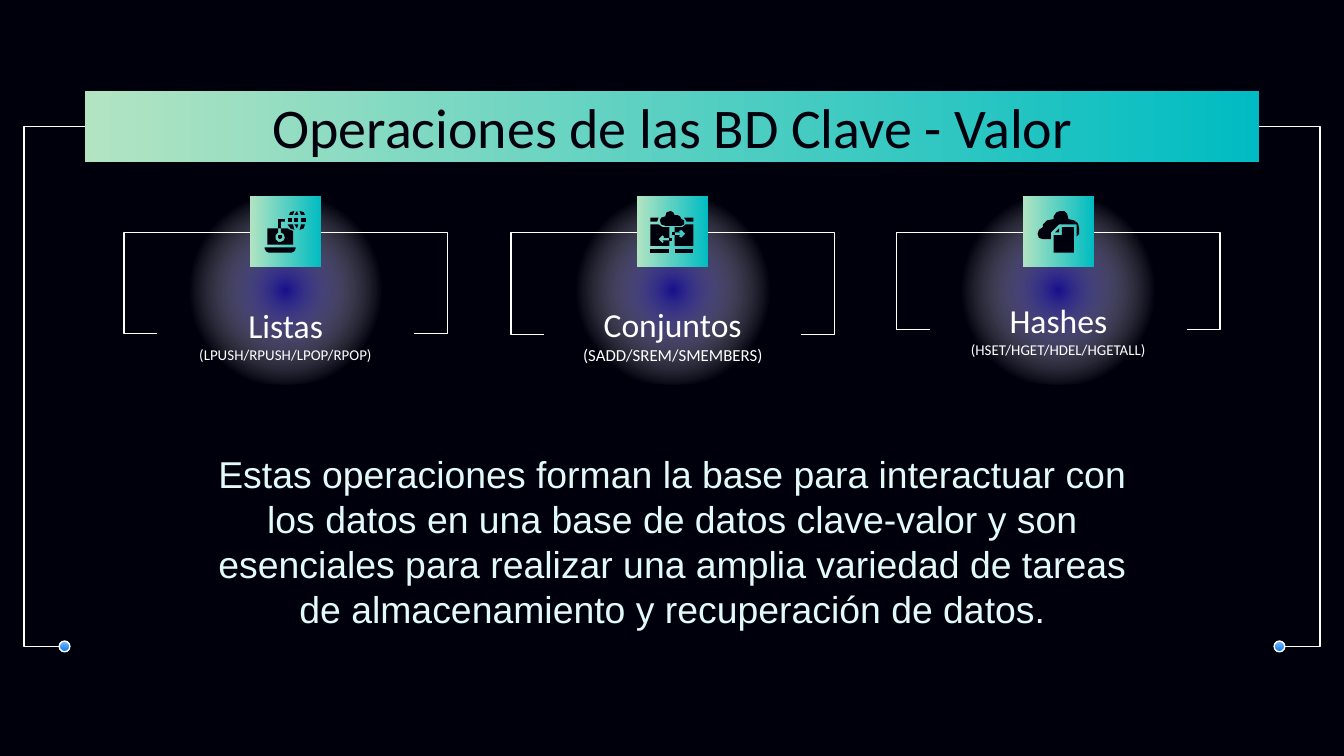
"""Build a slide on the operations of key-value databases."""
from pptx import Presentation
from pptx.dml.color import RGBColor
from pptx.enum import shapes, text
from pptx.oxml import parse_xml
from pptx.oxml.ns import nsdecls, qn
from pptx.util import Inches, Pt

NIGHT = RGBColor(0x00, 0x00, 0x0D)
WHITE = RGBColor(0xFF, 0xFF, 0xFF)
ICE = RGBColor(0xE2, 0xFB, 0xF8)
TEAL = RGBColor(0x00, 0xBC, 0xC2)
MINT = RGBColor(0xB2, 0xE4, 0xC2)
INDIGO = RGBColor(0x17, 0x0F, 0x8D)
SKY = RGBColor(0x82, 0xBC, 0xFE)
BLUE = RGBColor(0x0C, 0x77, 0xF1)

ACROSS = '<a:lin ang="10800000" scaled="0"/>'
DOWN = '<a:lin ang="5400000" scaled="0"/>'
RADIAL = '<a:path path="circle"><a:fillToRect l="50000" t="50000" r="50000" b="50000"/></a:path>'
BRAND = [(0, TEAL, 100), (100, MINT, 100)]
GLOW = [(0, INDIGO, 100), (61, WHITE, 0), (100, WHITE, 0)]
DOT = [(0, SKY, 100), (100, BLUE, 100)]

LAPTOP = [
    [(13, 24), (13, 36), (32, 36), (32, 26), (28, 24), (23, 24), (23, 27), (25, 28), (26, 31),
     (25, 33), (23, 34), (21, 34), (19, 32), (19, 29), (21, 27), (21, 24)],
    [(21, 29), (21, 31), (22, 32), (24, 31), (24, 29), (22, 29)],
    [(21, 17), (21, 24), (23, 24), (23, 19), (26, 19), (26, 17)],
    [(11, 38), (11, 39), (12, 41), (14, 42), (31, 42), (33, 41), (34, 39), (34, 38)],
    [(35, 11), (33, 14), (36, 14)],
    [(37, 11), (38, 14), (41, 14), (39.5, 12)],
    [(38, 21), (37, 25), (39.5, 23.5), (41, 21)],
    [(28, 16), (28, 19), (31, 19), (31, 16)],
    [(33, 11), (30.5, 12), (29, 14), (32, 14)],
    [(28, 21), (30, 23.5), (33, 25), (32, 21)],
    [(38, 16), (38, 19), (42, 19), (42, 16)],
    [(33, 16), (33, 19), (36.5, 19), (36.5, 16)],
    [(33, 21), (35, 24), (36, 21)],
]
SERVERS = [
    [(36, 21), (34, 23), (28, 23), (28, 27), (32, 27), (31, 26), (33, 25), (36, 28), (33, 31),
     (31, 30), (32, 29), (28, 29), (28, 37), (42, 37), (42, 21)],
    [(28, 39), (28, 42), (42, 42), (42, 39)],
    [(35, 16), (37, 19), (42, 19), (42, 16)],
    [(24, 31), (24, 33), (26, 33), (26, 31)],
    [(26, 27), (26, 29), (28, 29), (28, 27)],
    [(10, 39), (10, 42), (24, 42), (24, 39)],
    [(10, 21), (10, 37), (24, 37), (24, 33), (19, 33), (20, 34), (19, 35), (16, 32), (19, 29),
     (20, 30), (20, 31), (24, 31), (24, 23), (19, 23), (16, 21)],
    [(10, 16), (10, 19), (15, 19), (16, 16)],
    [(25, 11), (22, 12), (21, 15), (18, 16), (17, 18), (18, 21), (21, 22), (33, 22), (35, 21),
     (35, 18), (33, 17), (32, 15), (30, 14), (28, 14), (27, 12)],
]
CLOUD_FILE = [
    [(28, 11), (25, 12), (23, 15), (23, 17), (18, 18), (15, 21), (15, 23), (12, 25), (11, 28),
     (12, 31), (15, 32), (21, 32), (21, 27), (27, 21), (40, 21), (40, 30), (42, 28), (42, 24),
     (41, 20), (38, 18), (34, 17), (33, 13), (31, 11)],
    [(27, 24), (24, 27), (27, 27)],
    [(29, 23), (29, 29), (23, 29), (23, 42), (38, 42), (38, 23)],
]
CARDS = [
    (1.17, 0.75, 2.48, "Listas ", "(LPUSH/RPUSH/LPOP/RPOP)", 8, LAPTOP),
    (4.05, 0.76, 2.49, "Conjuntos ", "(SADD/SREM/SMEMBERS)", 9, SERVERS),
    (6.92, 0.68, 2.45, "Hashes ", "(HSET/HGET/HDEL/HGETALL)", 8, CLOUD_FILE),
]

deck = Presentation()
deck.slide_width, deck.slide_height = Inches(10), Inches(10) * 9 // 16
page = deck.slides.add_slide(deck.slide_layouts[5])
page.background.fill.solid()
page.background.fill.fore_color.rgb = NIGHT


def add_gradient_shape(kind, bounds, stops, direction):
    shape = page.shapes.add_shape(kind, *map(Inches, bounds))
    shape.shadow.inherit = False
    shape.line.fill.background()
    shape.fill.gradient()
    marks = "".join(
        f'<a:gs pos="{spot * 1000}"><a:srgbClr val="{color}"><a:alpha val="{alpha * 1000}"/>'
        "</a:srgbClr></a:gs>" for spot, color, alpha in stops)
    properties = shape.element.spPr
    properties.replace(properties.find(qn("a:gradFill")), parse_xml(
        f'<a:gradFill {nsdecls("a")} rotWithShape="1"><a:gsLst>{marks}</a:gsLst>{direction}</a:gradFill>'))
    return shape


def write(box, spans, anchor, inset):
    frame = box.text_frame
    layout = {"word_wrap": True, "auto_size": text.MSO_AUTO_SIZE.NONE, "vertical_anchor": anchor,
              "margin_top": Inches(inset), "margin_bottom": Inches(inset),
              "margin_left": Inches(0.1), "margin_right": Inches(0.1)}
    for name, value in layout.items():
        setattr(frame, name, value)
    para = frame.paragraphs[0]
    para.alignment = text.PP_ALIGN.CENTER
    for words, size, face, color in spans:
        span = para.add_run()
        span.text = words
        for name, value in {"size": Pt(size), "name": face}.items():
            setattr(span.font, name, value)
        span.font.color.rgb = color


RECTANGLE, OVAL = shapes.MSO_SHAPE.RECTANGLE, shapes.MSO_SHAPE.OVAL
TILE_TOP, TILE = 1.46, 0.53
brackets = []
for left, *_ in CARDS:
    add_gradient_shape(OVAL, (left, TILE_TOP, 1.91, 1.4), GLOW, RADIAL)
add_gradient_shape(RECTANGLE, (0.63, 0.68, 8.74, 0.53), BRAND, ACROSS)

for left, height, bracket_end, name, commands, size, icon in CARDS:
    label = page.shapes.add_textbox(Inches(left), Inches(2.11), Inches(1.91), Inches(height))
    write(label, [(name, 18, "Calibri", WHITE), (commands, size, "Calibri", WHITE)],
          text.MSO_ANCHOR.MIDDLE, 0.1)
    tile_left = left + 0.69
    add_gradient_shape(RECTANGLE, (tile_left, TILE_TOP, TILE, TILE), BRAND, ACROSS)
    for points in icon:
        outline = page.shapes.build_freeform(*points[0], scale=Inches(0.01))
        outline.add_line_segments(points[1:], close=True)
        part = outline.convert_to_shape(Inches(tile_left), Inches(TILE_TOP))
        part.shadow.inherit = False
        part.fill.solid()
        part.fill.fore_color.rgb = NIGHT
        part.line.fill.background()
    brackets += [(tile_left, 1.73, left, bracket_end, 1.36),
                 (tile_left + TILE, 1.73, left + 1.91, bracket_end, 1.36)]

brackets += [(0.63, 0.94, 0.44, 4.81, 2.37), (9.37, 0.94, 9.56, 4.81, 2.37)]
for *ends, bend in brackets:
    bracket = page.shapes.add_connector(shapes.MSO_CONNECTOR.ELBOW, *map(Inches, ends))
    bracket.line.color.rgb = WHITE
    bracket.line.width = Pt(0.75)
    properties = bracket.element.spPr
    properties.append(parse_xml(f'<a:effectLst {nsdecls("a")}/>'))
    geometry = properties.find(qn("a:prstGeom"))
    geometry.replace(geometry.find(qn("a:avLst")), parse_xml(
        f'<a:avLst {nsdecls("a")}><a:gd name="adj1" fmla="val {round(bend * 100000)}"/></a:avLst>'))

for left in (0.44, 9.48):
    dot = add_gradient_shape(OVAL, (left, 4.77, 0.08, 0.08), DOT, DOWN)
    dot.line.color.rgb = WHITE
    dot.line.width = Pt(0.75)

title = page.shapes.title
for name, value in {"left": 0.79, "top": 0.59, "width": 8.43, "height": 0.63}.items():
    setattr(title, name, Inches(value))
write(title, [("Operaciones de las BD Clave - Valor", 30, "Calibri", NIGHT)], text.MSO_ANCHOR.TOP, 0.1)
page.shapes.element.append(title.element)

summary = page.shapes.add_textbox(Inches(1.35), Inches(3.31), Inches(7.31), Inches(1.45))
write(summary, [(
    "Estas operaciones forman la base para interactuar con los datos en una base de datos "
    "clave-valor y son esenciales para realizar una amplia variedad de tareas de "
    "almacenamiento y recuperación de datos.", 20, "Arial", ICE)], text.MSO_ANCHOR.TOP, 0.05)

deck.save("out.pptx")
